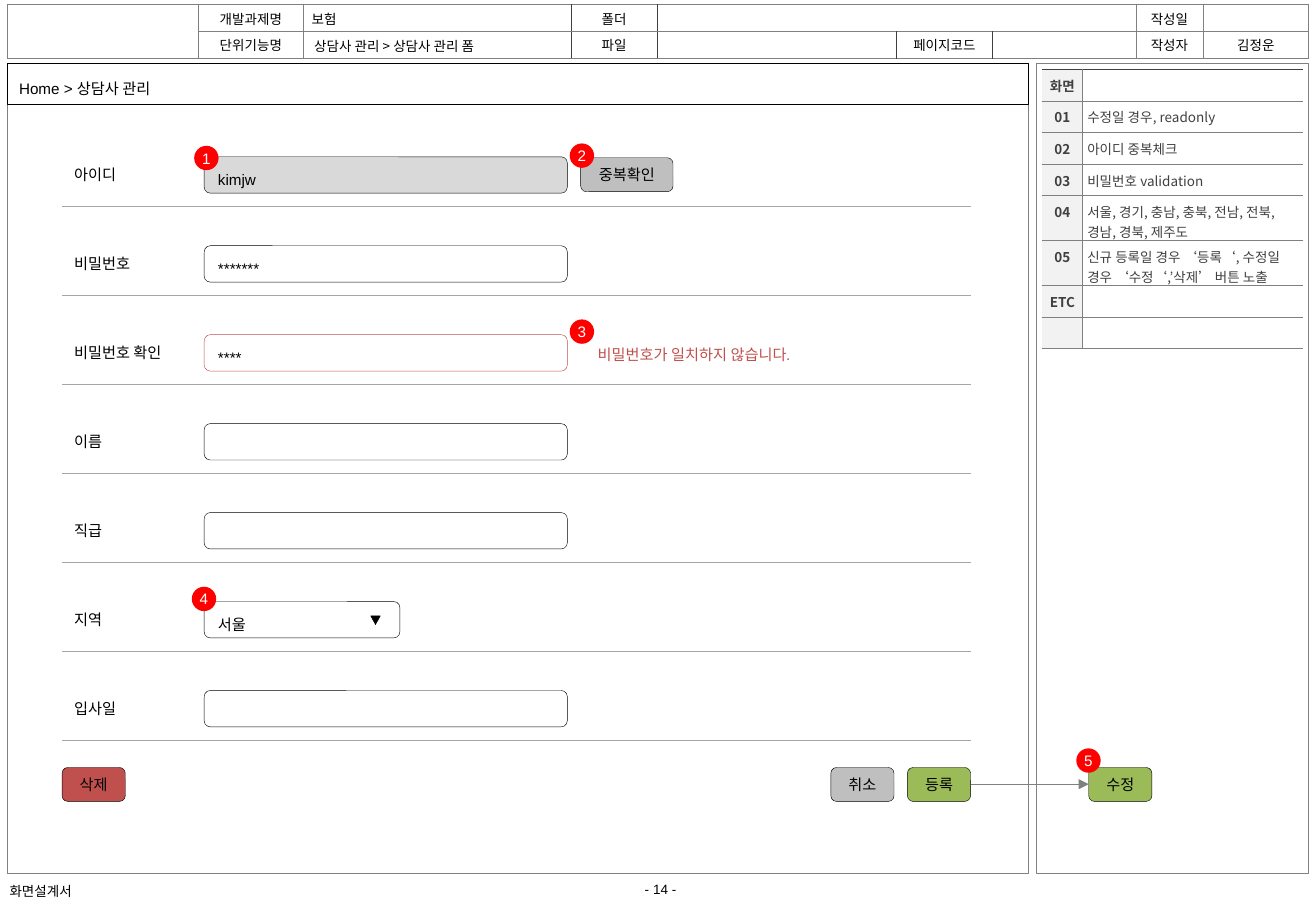
from dataclasses import dataclass

from lxml.etree import SubElement
from pptx import Presentation
from pptx.dml.color import RGBColor
from pptx.enum.shapes import MSO_CONNECTOR, MSO_SHAPE
from pptx.enum.text import MSO_ANCHOR, PP_ALIGN
from pptx.oxml.ns import qn
from pptx.util import Cm, Pt


@dataclass(frozen=True)
class Theme:
    latin: str = "Arial"
    korean: str = "Noto Sans CJK KR"
    small: float = 8
    body: float = 9
    hairline: float = 0.25
    thin: float = 0.5
    rule: float = 0.75
    black: str = "000000"
    white: str = "FFFFFF"
    dark: str = "404040"
    gray: str = "808080"
    rule_gray: str = "A6A6A6"
    button_gray: str = "BFBFBF"
    disabled: str = "D9D9D9"
    heading_fill: str = "F2F2F2"
    red: str = "C0504D"
    green: str = "9BBB59"
    marker: str = "FF0000"


theme = Theme()
LEFT, CENTER = PP_ALIGN.LEFT, PP_ALIGN.CENTER
TOP, MIDDLE = MSO_ANCHOR.TOP, MSO_ANCHOR.MIDDLE


def add_box(kind, place, text="", fill=None, line=None, width=theme.hairline, align=LEFT,
            anchor=MIDDLE, size=theme.body, color=theme.black, font=theme.latin, spacing=None):
    """Add a preset shape, or a text box when kind is None."""
    left, top, box_width, height = (Cm(length) for length in place)
    if kind is None:
        shape = slide.shapes.add_textbox(left, top, box_width, height)
    else:
        shape = slide.shapes.add_shape(kind, left, top, box_width, height)
        shape.shadow.inherit = False
    if fill:
        shape.fill.solid()
        shape.fill.fore_color.rgb = RGBColor.from_string(fill)
    else:
        shape.fill.background()
    if line:
        shape.line.color.rgb = RGBColor.from_string(line)
        shape.line.width = Pt(width)
    else:
        shape.line.fill.background()
    if text:
        frame = shape.text_frame
        frame.text = text
        frame.word_wrap = align == LEFT
        frame.vertical_anchor = anchor
        paragraph = frame.paragraphs[0]
        paragraph.alignment = align
        paragraph.line_spacing = spacing
        run = paragraph.runs[0]
        run.font.size = Pt(size)
        run.font.name = font
        run.font.color.rgb = RGBColor.from_string(color)
        SubElement(run.font._element, qn("a:ea"), typeface=theme.korean)
    return shape


def style_cell(cell, text, borders, margins, align, anchor, color, bold=False, fill=None):
    """Fill a cell; borders maps L, R, T and B to a colour and a width in points."""
    cell.margin_left, cell.margin_right, cell.margin_top, cell.margin_bottom = map(Cm, margins)
    cell.vertical_anchor = anchor
    cell.text_frame.text = text
    paragraph = cell.text_frame.paragraphs[0]
    paragraph.alignment = align
    paragraph.space_before = Pt(theme.small * 0.2)
    for run in paragraph.runs:
        run.font.size = Pt(theme.small)
        run.font.name = theme.korean
        run.font.bold = bold
        run.font.color.rgb = RGBColor.from_string(color)
        SubElement(run.font._element, qn("a:ea"), typeface=theme.korean)
    if not text:
        SubElement(paragraph._p, qn("a:endParaRPr"), sz=str(theme.small * 100))
    properties = cell._tc.get_or_add_tcPr()
    for side in "LRTB":
        border_color, width = borders.get(side, (None, 0))
        border = SubElement(properties, qn(f"a:ln{side}"), w=str(Pt(width)))
        if border_color:
            SubElement(SubElement(border, qn("a:solidFill")), qn("a:srgbClr"), val=border_color)
        else:
            SubElement(border, qn("a:noFill"))
    if fill:
        cell.fill.solid()
        cell.fill.fore_color.rgb = RGBColor.from_string(fill)
    else:
        cell.fill.background()


presentation = Presentation()
presentation.slide_width, presentation.slide_height = Cm(27.51), Cm(19.05)
slide = presentation.slides.add_slide(presentation.slide_layouts[6])

# Footer and panels
add_box(None, (13.16, 18.29, 1.3, 0.58), "- 14 -", align=CENTER, anchor=TOP, size=theme.small)
add_box(None, (-0.05, 18.34, 1.93, 0.61), "화면설계서", anchor=TOP, size=theme.small)
add_box(MSO_SHAPE.RECTANGLE, (21.67, 1.32, 5.69, 16.94), fill=theme.white, line=theme.gray, width=theme.thin)
add_box(MSO_SHAPE.RECTANGLE, (0.15, 1.32, 21.36, 16.94), line=theme.gray, width=theme.thin)

# Document header
header_widths = [3.99, 2.21, 5.59, 1.8, 5, 2.01, 3, 1.4, 2.21]
header_rows = [
    ["", "개발과제명", " 보험", "폴더", "", "", "", "작성일", ""],
    ["", "단위기능명", "", "파일", "", "페이지코드", "", "작성자", "김정운"],
]
header = slide.shapes.add_table(2, 9, Cm(0.15), Cm(0.1), Cm(27.21), Cm(1.12)).table
header.first_row = header.horz_banding = False
for column, width in enumerate(header_widths):
    header.columns[column].width = Cm(width)
for row, texts in enumerate(header_rows):
    header.rows[row].height = Cm(0.56)
    dark_edges = (3, 4) if row == 0 else (3, 4, 5, 6)
    for column, text in enumerate(texts):
        borders = dict.fromkeys("LRTB", (theme.gray, theme.thin))
        if column in dark_edges:
            borders["L"] = (theme.dark, theme.hairline)
        if column + 1 in dark_edges:
            borders["R"] = (theme.dark, theme.hairline)
        style_cell(header.cell(row, column), text, borders, (0.1, 0.1, 0.05, 0.05),
                   LEFT if column == 2 else CENTER, MIDDLE, theme.black)
header.cell(0, 0).merge(header.cell(1, 0))
header.cell(0, 4).merge(header.cell(0, 6))
add_box(None, (6.32, 0.66, 7.44, 0.61), "상담사 관리 > 상담사 관리 폼", size=theme.small, font=theme.korean)

# Screen notes
notes = [
    ("화면", ""),
    ("01", "수정일 경우, readonly"),
    ("02", "아이디 중복체크"),
    ("03", "비밀번호 validation"),
    ("04", "서울, 경기, 충남, 충북, 전남, 전북, 경남, 경북, 제주도"),
    ("05", "신규 등록일 경우 ‘등록‘, 수정일 경우 ‘수정‘,’삭제’ 버튼 노출"),
    ("ETC", ""),
    ("", ""),
]
note_table = slide.shapes.add_table(len(notes), 2, Cm(21.79), Cm(1.45), Cm(5.44), Cm(5.28)).table
note_table.first_row = note_table.horz_banding = False
note_table.columns[0].width, note_table.columns[1].width = Cm(0.84), Cm(4.6)
gray_edge = (theme.gray, theme.hairline)
for row, (number, note) in enumerate(notes):
    note_table.rows[row].height = Cm(0.66)
    edges = {"T": gray_edge if row else (theme.dark, theme.thin), "B": gray_edge}
    style_cell(note_table.cell(row, 0), number, {**edges, "R": gray_edge}, (0, 0, 0.13, 0.13),
               CENTER, TOP, theme.dark, bold=True, fill=theme.heading_fill)
    style_cell(note_table.cell(row, 1), note, {**edges, "L": gray_edge}, (0.1, 0, 0.13, 0.13),
               LEFT, TOP, theme.dark)

# Form
add_box(MSO_SHAPE.RECTANGLE, (0.15, 1.32, 21.34, 0.86), "Home > 상담사 관리", line=theme.black, spacing=1.5)
fields = [
    ("아이디", "kimjw", 7.59, theme.disabled, theme.black),
    ("비밀번호", "*******", 7.59, None, theme.black),
    ("비밀번호 확인", "****", 7.59, None, theme.red),
    ("이름", "", 7.59, None, theme.black),
    ("직급", "", 7.59, None, theme.black),
    ("지역", "서울", 4.09, None, theme.black),
    ("입사일", "", 7.59, None, theme.black),
]
lines = []
for index, (label, value, width, fill, outline) in enumerate(fields):
    baseline = 4.32 + 1.86 * index
    lines.append((1.3, 20.29, baseline, theme.rule_gray))
    add_box(None, (1.3, baseline - 0.99, 2.77, 0.64), label, anchor=TOP)
    add_box(MSO_SHAPE.ROUNDED_RECTANGLE, (4.27, baseline - 1.04, width, 0.76), value, fill, outline, spacing=1.5)
add_box(None, (11.79, 7.09, 5.44, 0.64), "비밀번호가 일치하지 않습니다.", align=CENTER, anchor=TOP, color=theme.red)
arrow = add_box(MSO_SHAPE.ISOSCELES_TRIANGLE, (7.75, 12.88, 0.2, 0.18), fill=theme.black, line=theme.black)
arrow.rotation = 180

# Buttons
for text, left, top, width, fill in [
    ("중복확인", 12.14, 3.3, 1.93, theme.button_gray),
    ("삭제", 1.3, 16.05, 1.32, theme.red),
    ("취소", 17.37, 16.05, 1.32, theme.button_gray),
    ("등록", 18.97, 16.05, 1.32, theme.green),
    ("수정", 22.76, 16.05, 1.32, theme.green),
]:
    add_box(MSO_SHAPE.ROUNDED_RECTANGLE, (left, top, width, 0.71), text, fill, theme.black, align=CENTER)

# Row rules and the arrow between buttons
lines.append((20.29, 22.76, 16.4, theme.gray))
for start, end, height, color in lines:
    connector = slide.shapes.add_connector(MSO_CONNECTOR.STRAIGHT, Cm(start), Cm(height), Cm(end), Cm(height))
    connector.line.color.rgb = RGBColor.from_string(color)
    connector.line.width = Pt(theme.rule)
    SubElement(connector._element.spPr, qn("a:effectLst"))
SubElement(connector.line._get_or_add_ln(), qn("a:tailEnd"), type="triangle")

# Numbered markers
for number, (left, top) in enumerate([(4.06, 3.05), (11.91, 3), (11.91, 6.68), (4.01, 12.27), (22.5, 15.65)], 1):
    add_box(MSO_SHAPE.OVAL, (left, top, 0.51, 0.51), str(number), theme.marker, align=CENTER, color=theme.white)

presentation.save("out.pptx")
